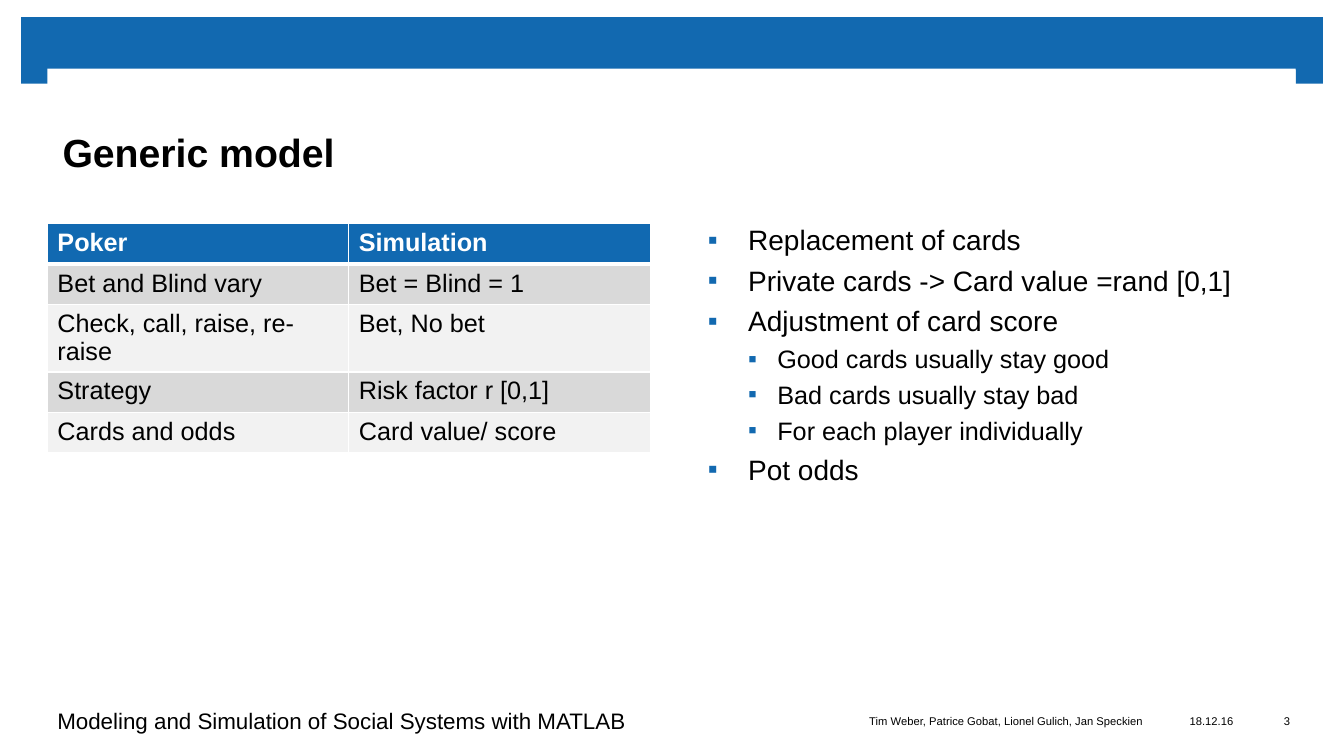
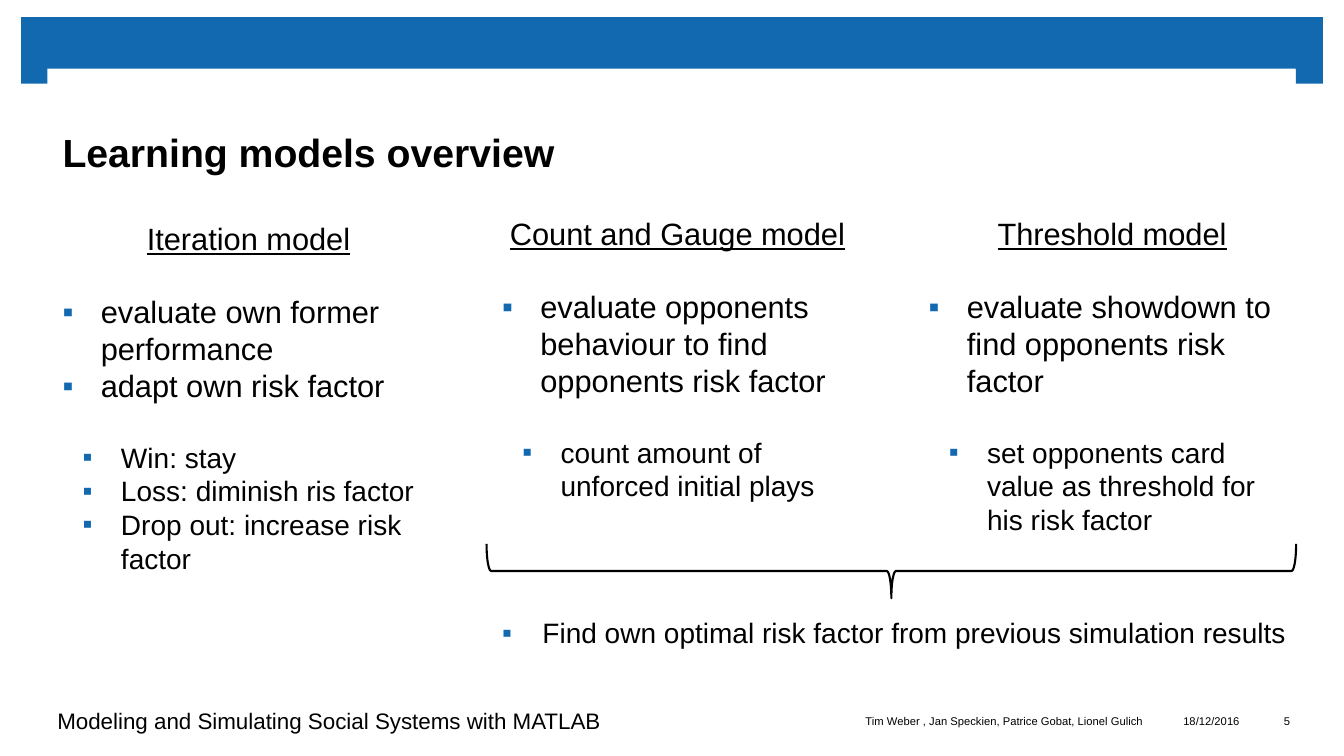
"""Build two slides on a poker simulation: the generic model and the learning models."""
import dataclasses

import lxml.etree
import pptx
import pptx.dml.color
import pptx.enum.shapes
import pptx.enum.text
import pptx.oxml.ns
import pptx.util

Align = pptx.enum.text.PP_ALIGN
Anchor = pptx.enum.text.MSO_ANCHOR
Preset = pptx.enum.shapes.MSO_SHAPE
TITLE_AND_CONTENT, COMPARISON = 1, 4


@dataclasses.dataclass(frozen=True)
class Theme:
    """Colours, type sizes and line widths of the deck."""
    font: str = "Arial"
    blue: str = "1269B0"
    header: str = "1169B1"
    ink: str = "000000"
    paper: str = "FFFFFF"
    stripes: tuple = ("F2F2F2", "D9D9D9")
    title: int = 28
    course: int = 16
    footer: int = 8
    table: int = 18
    cell_border: int = 1
    header_border: int = 3
    panel_line: int = 2
    brace_line: float = 1.5


@dataclasses.dataclass(frozen=True)
class ListStyle:
    """Indents in px, type size and spacing in points for one kind of list line."""
    level: int
    size: int
    left: int = 0
    hang: int = 0
    before: int = 0
    opening: int = 0
    heading: bool = False


POINT = ListStyle(0, 20, 40, 40, before=5, opening=5)
SUBPOINT = ListStyle(1, 18, 69, 29, before=4, opening=4)
HEADING = ListStyle(2, 22, heading=True)
CLAIM = ListStyle(2, 22, 38, 38, opening=26)
DETAIL = ListStyle(3, 20, 58, 38, opening=26)


def px(length):
    """Turn px into EMU at 100 px to the inch."""
    return pptx.util.Emu(length * 9144)


def color(value):
    """Turn a hex string into a colour."""
    return pptx.dml.color.RGBColor.from_string(value)


def add_xml(parent, tag, **attributes):
    """Append a DrawingML element and return it."""
    return lxml.etree.SubElement(parent, pptx.oxml.ns.qn(tag), attributes)


class Deck:
    """Hold the theme and the current slide, and draw each kind of element."""

    def __init__(self, theme):
        """Open an empty widescreen deck."""
        self.theme = theme
        self.deck = pptx.Presentation()
        self.deck.slide_width, self.deck.slide_height = px(1333), px(750)
        self.slide = None

    def start_slide(self, layout, title, course, authors, date, number):
        """Add a slide with its title and footer, and the master band at first."""
        self.slide = self.deck.slides.add_slide(self.deck.slide_layouts[layout])
        if len(self.deck.slides) == 1:
            self.master_band()
        self.title(title)
        strip = self.rectangle((47, 693, 747, 44), self.theme.paper)
        self.label(strip, course, self.theme.course, Align.LEFT, inset=10)
        for text, left, width, align in (
            (authors, 666, 468, Align.RIGHT),
            (date, 1157, 89, Align.CENTER),
            (number, 1257, 39, Align.CENTER),
        ):
            box = self.slide.shapes.add_textbox(*map(px, (left, 690, width, 51)))
            self.label(box, text, self.theme.footer, align)

    def format_runs(self, paragraph, size, ink=None, bold=False, underline=False):
        """Apply the deck font to all runs of a paragraph."""
        for run in paragraph.runs:
            run.font.name = self.theme.font
            run.font.size = pptx.util.Pt(size)
            run.font.bold = bold
            run.font.underline = underline
            run.font.color.rgb = color(ink or self.theme.ink)

    def place(self, shape, box):
        """Move a shape to a px box."""
        shape.left, shape.top, shape.width, shape.height = map(px, box)

    def paint(self, shape, fill):
        """Give a shape a solid fill."""
        shape.fill.solid()
        shape.fill.fore_color.rgb = color(fill)

    def outline(self, shape, ink, width):
        """Give a shape a line of the given width in points."""
        shape.line.color.rgb = color(ink)
        shape.line.width = pptx.util.Pt(width)

    def frame(self, shape, anchor, left=0, right=0):
        """Set anchor, wrapping and insets of a shape's text."""
        frame = shape.text_frame
        frame.auto_size = pptx.enum.text.MSO_AUTO_SIZE.NONE
        frame.word_wrap = True
        frame.vertical_anchor = anchor
        frame.margin_left, frame.margin_right = px(left), px(right)
        frame.margin_top = frame.margin_bottom = 0
        return frame

    def rectangle(self, box, fill):
        """Draw a plain rectangle without line or shadow."""
        rectangle = self.slide.shapes.add_shape(Preset.RECTANGLE, *map(px, box))
        rectangle.shadow.inherit = False
        self.paint(rectangle, fill)
        rectangle.line.fill.background()
        return rectangle

    def master_band(self):
        """Put the blue band with its two hanging ends on the slide master."""
        master_tree = self.deck.slide_master.shapes.element
        parts = ((21, 17, 1291, 52), (21, 65, 27, 18), (1285, 65, 27, 18))
        for number, box in enumerate(parts, start=101):
            part = self.rectangle(box, self.theme.blue).element
            part.nvSpPr.cNvPr.set("id", str(number))
            master_tree.append(part)

    def title(self, text):
        """Fill the title placeholder."""
        title = self.slide.shapes.title
        self.place(title, (47, 68, 1238, 106))
        self.paint(title, self.theme.paper)
        frame = self.frame(title, Anchor.BOTTOM, 15, 16)
        frame.text = text
        frame.paragraphs[0].alignment = Align.LEFT
        self.format_runs(frame.paragraphs[0], self.theme.title, bold=True)

    def label(self, shape, text, size, align, inset=0):
        """Write one line into a shape, centred vertically."""
        frame = self.frame(shape, Anchor.MIDDLE, inset, inset)
        frame.text = text
        frame.paragraphs[0].alignment = align
        self.format_runs(frame.paragraphs[0], size)

    def bullets(self, index, box, lines):
        """Fill a body placeholder, with opening space where the style changes."""
        body = self.slide.placeholders[index]
        self.place(body, box)
        frame = self.frame(body, Anchor.TOP, left=15)
        frame.text = "\n".join(text for _, text in lines)
        previous = None
        for paragraph, (style, _) in zip(frame.paragraphs, lines):
            paragraph.level = style.level
            paragraph.alignment = Align.CENTER if style.heading else Align.LEFT
            paragraph.line_spacing = 1.0
            paragraph.space_before = pptx.util.Pt(
                style.before if style == previous else style.opening)
            paragraph.space_after = pptx.util.Pt(0)
            self.bullet_mark(paragraph, style)
            self.format_runs(paragraph, style.size, underline=style.heading)
            previous = style
        return body

    def model_panel(self, index, box, lines):
        """Fill a body placeholder that has a white panel behind it."""
        panel = self.bullets(index, box, lines)
        self.paint(panel, self.theme.paper)
        self.outline(panel, self.theme.paper, self.theme.panel_line)

    def bullet_mark(self, paragraph, style):
        """Set the indents and the square mark of a list line."""
        properties = paragraph._p.get_or_add_pPr()
        properties.set("marL", str(px(style.left)))
        properties.set("indent", str(px(-style.hang)))
        if style.heading:
            add_xml(properties, "a:buNone")
            return
        mark_color = add_xml(properties, "a:buClr")
        add_xml(mark_color, "a:srgbClr", val=self.theme.blue)
        add_xml(properties, "a:buFont", typeface=self.theme.font)
        add_xml(properties, "a:buChar", char="▪")

    def table(self, left, top, column_width, row_heights, rows):
        """Add a table with a blue header and grey stripes."""
        columns = len(rows[0])
        table = self.slide.shapes.add_table(
            len(rows), columns, px(left), px(top),
            px(column_width * columns), px(sum(row_heights))).table
        for column in table.columns:
            column.width = px(column_width)
        for number, (height, texts) in enumerate(zip(row_heights, rows)):
            table.rows[number].height = px(height)
            for cell, text in zip(table.rows[number].cells, texts):
                self.cell(cell, text, number)

    def cell(self, cell, text, number):
        """Write and colour one cell of the given row."""
        theme, header = self.theme, number == 0
        cell.text = text
        self.format_runs(cell.text_frame.paragraphs[0], theme.table,
                         theme.paper if header else theme.ink, bold=header)
        properties = cell._tc.get_or_add_tcPr()
        for side in "LRTB":
            thick = (header and side == "B") or (number == 1 and side == "T")
            width = theme.header_border if thick else theme.cell_border
            border = add_xml(properties, f"a:ln{side}", w=str(pptx.util.Pt(width)))
            add_xml(add_xml(border, "a:solidFill"), "a:srgbClr", val=theme.paper)
        self.paint(cell, theme.header if header else theme.stripes[number % 2])

    def brace_below(self, left, top, width, height):
        """Draw a brace that opens upwards over the given px box."""
        offset = (width - height) // 2
        brace = self.slide.shapes.add_shape(
            Preset.RIGHT_BRACE,
            *map(px, (left + offset, top - offset, height, width)))
        brace.rotation = 90
        brace.shadow.inherit = False
        brace.fill.background()
        self.outline(brace, self.theme.ink, self.theme.brace_line)


def generic_model(deck):
    """Build the slide that maps poker to the simulation."""
    deck.start_slide(
        TITLE_AND_CONTENT, "Generic model",
        "Modeling and Simulation of Social Systems with MATLAB",
        "Tim Weber, Patrice Gobat, Lionel Gulich, Jan Speckien", "18.12.16", "3")
    deck.table(47, 222, 299, (40, 40, 67, 40, 40), (
        ("Poker", "Simulation"),
        ("Bet and Blind vary", "Bet = Blind = 1"),
        ("Check, call, raise, re-raise", "Bet, No bet"),
        ("Strategy", "Risk factor r [0,1]"),
        ("Cards and odds", "Card value/ score"),
    ))
    deck.bullets(1, (687, 221, 598, 461), (
        (POINT, "Replacement of cards"),
        (POINT, "Private cards -> Card value =rand [0,1]"),
        (POINT, "Adjustment of card score"),
        (SUBPOINT, "Good cards usually stay good"),
        (SUBPOINT, "Bad cards usually stay bad"),
        (SUBPOINT, "For each player individually"),
        (POINT, "Pot odds"),
    ))


def learning_models(deck):
    """Build the slide that compares the three learning models."""
    deck.start_slide(
        COMPARISON, "Learning models overview",
        "Modeling and Simulating Social Systems with MATLAB",
        "Tim Weber , Jan Speckien, Patrice Gobat, Lionel Gulich", "18/12/2016", "5")
    deck.model_panel(1, (47, 218, 384, 461), (
        (HEADING, "Iteration model"),
        (CLAIM, "evaluate own former performance"),
        (CLAIM, "adapt own risk factor"),
        (DETAIL, "Win: stay"),
        (DETAIL, "Loss: diminish ris factor"),
        (DETAIL, "Drop out: increase risk factor"),
    ))
    deck.model_panel(2, (483, 213, 363, 285), (
        (HEADING, "Count and Gauge model"),
        (CLAIM, "evaluate opponents behaviour to find opponents risk factor"),
        (DETAIL, "count amount of unforced initial plays"),
    ))
    deck.model_panel(3, (906, 213, 379, 326), (
        (HEADING, "Threshold model"),
        (CLAIM, "evaluate showdown to find opponents risk factor"),
        (DETAIL, "set opponents card value as threshold for his risk factor"),
    ))
    deck.brace_below(483, 539, 803, 54)
    deck.bullets(4, (483, 611, 803, 41), (
        (POINT, "Find own optimal risk factor from previous simulation results"),
    ))


def main():
    """Build and save the deck."""
    deck = Deck(Theme())
    generic_model(deck)
    learning_models(deck)
    deck.deck.save("out.pptx")


if __name__ == "__main__":
    main()
